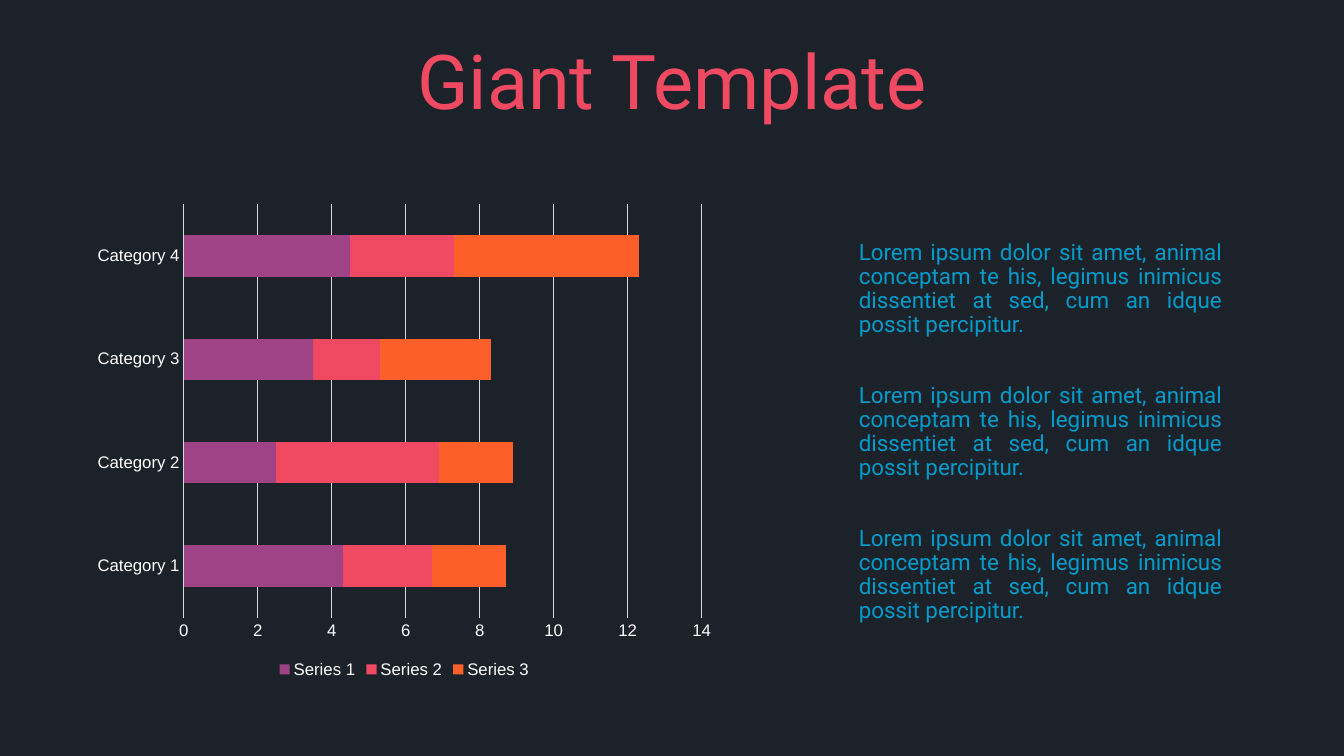
from pptx import Presentation
from pptx import util as u
from pptx.chart.data import CategoryChartData
from pptx.dml.color import RGBColor
from pptx.enum import chart as charts
from pptx.enum import text

NIGHT = RGBColor(0x1B, 0x22, 0x2A)
WHITE = RGBColor(0xFF, 0xFF, 0xFF)
SILVER = RGBColor(0xD9, 0xD9, 0xD9)
PURPLE = RGBColor(0x9E, 0x44, 0x86)
CORAL = RGBColor(0xF0, 0x49, 0x62)
ORANGE = RGBColor(0xFC, 0x5F, 0x2A)
BLUE = RGBColor(0x03, 0x9B, 0xCA)

CATEGORIES = ["Category 1", "Category 2", "Category 3", "Category 4"]
SERIES = [
    ("Series 1", [4.3, 2.5, 3.5, 4.5], PURPLE),
    ("Series 2", [2.4, 4.4, 1.8, 2.8], CORAL),
    ("Series 3", [2, 2, 3, 5], ORANGE),
]
NOTE = (
    "Lorem ipsum dolor sit amet, animal conceptam te his, legimus inimicus "
    "dissentiet at sed, cum an idque possit percipitur."
)


def style_font(font, size, color, name):
    font.size = u.Pt(size)
    font.color.rgb = color
    font.name = name


def write_text(shape, words, size, color, align, anchor=text.MSO_ANCHOR.TOP,
               autofit=text.MSO_AUTO_SIZE.NONE, font_name="Roboto"):
    frame = shape.text_frame
    frame.word_wrap = True
    frame.auto_size = autofit
    frame.vertical_anchor = anchor
    paragraph = frame.paragraphs[0]
    paragraph.alignment = align
    paragraph.line_spacing = 0.9
    paragraph.space_before = u.Pt(0)
    run = paragraph.add_run()
    run.text = words
    style_font(run.font, size, color, font_name)


def add_title(slide, left, top, width, height):
    title = slide.shapes.title
    title.left, title.top = u.Inches(left), u.Inches(top)
    title.width, title.height = u.Inches(width), u.Inches(height)
    write_text(title, "Giant Template", 54, CORAL, text.PP_ALIGN.CENTER,
               anchor=text.MSO_ANCHOR.MIDDLE,
               autofit=text.MSO_AUTO_SIZE.SHAPE_TO_FIT_TEXT)


def style_axis(axis):
    axis.major_tick_mark = charts.XL_TICK_MARK.NONE
    axis.minor_tick_mark = charts.XL_TICK_MARK.NONE
    style_font(axis.tick_labels.font, 12, WHITE, "Arial")


def add_stacked_bars(slide, left, top, width, height):
    data = CategoryChartData()
    data.categories = CATEGORIES
    for name, values, color in SERIES:
        data.add_series(name, values)
    chart = slide.shapes.add_chart(
        charts.XL_CHART_TYPE.BAR_STACKED, u.Inches(left), u.Inches(top),
        u.Inches(width), u.Inches(height), data).chart
    style_font(chart.font, 10, WHITE, "Arial")
    chart.has_title = False

    chart.has_legend = True
    chart.legend.position = charts.XL_LEGEND_POSITION.BOTTOM
    chart.legend.include_in_layout = False
    style_font(chart.legend.font, 12, WHITE, "Arial")

    plot = chart.plots[0]
    plot.gap_width = 150
    plot.overlap = 100
    plot.vary_by_categories = False
    for series, (name, values, color) in zip(plot.series, SERIES):
        series.format.fill.solid()
        series.format.fill.fore_color.rgb = color

    category_axis, value_axis = chart.category_axis, chart.value_axis
    style_axis(category_axis)
    style_axis(value_axis)
    value_axis.minimum_scale = 0
    value_axis.maximum_scale = 14
    value_axis.major_unit = 2
    value_axis.has_major_gridlines = True
    value_axis.format.line.fill.background()
    for line in (category_axis.format.line, value_axis.major_gridlines.format.line):
        line.color.rgb = SILVER
        line.width = u.Pt(0.75)


def add_notes_column(slide, left, top, width, height, count=3, gap=0.12):
    note_height = (height - gap * (count - 1)) / count
    for index in range(count):
        note_top = top + index * (note_height + gap)
        note = slide.shapes.add_textbox(
            u.Inches(left), u.Inches(note_top), u.Inches(width), u.Inches(note_height))
        write_text(note, NOTE, 16, BLUE, text.PP_ALIGN.JUSTIFY)


def main():
    presentation = Presentation()
    presentation.slide_width = u.Inches(13.33)
    presentation.slide_height = u.Inches(7.5)
    slide = presentation.slides.add_slide(presentation.slide_layouts[5])
    slide.background.fill.solid()
    slide.background.fill.fore_color.rgb = NIGHT
    add_title(slide, 3.01, 0.38, 7.31, 0.92)
    add_stacked_bars(slide, 0.84, 1.93, 6.34, 4.84)
    add_notes_column(slide, 8.42, 2.34, 3.8, 4.14)
    presentation.save("out.pptx")


if __name__ == "__main__":
    main()
